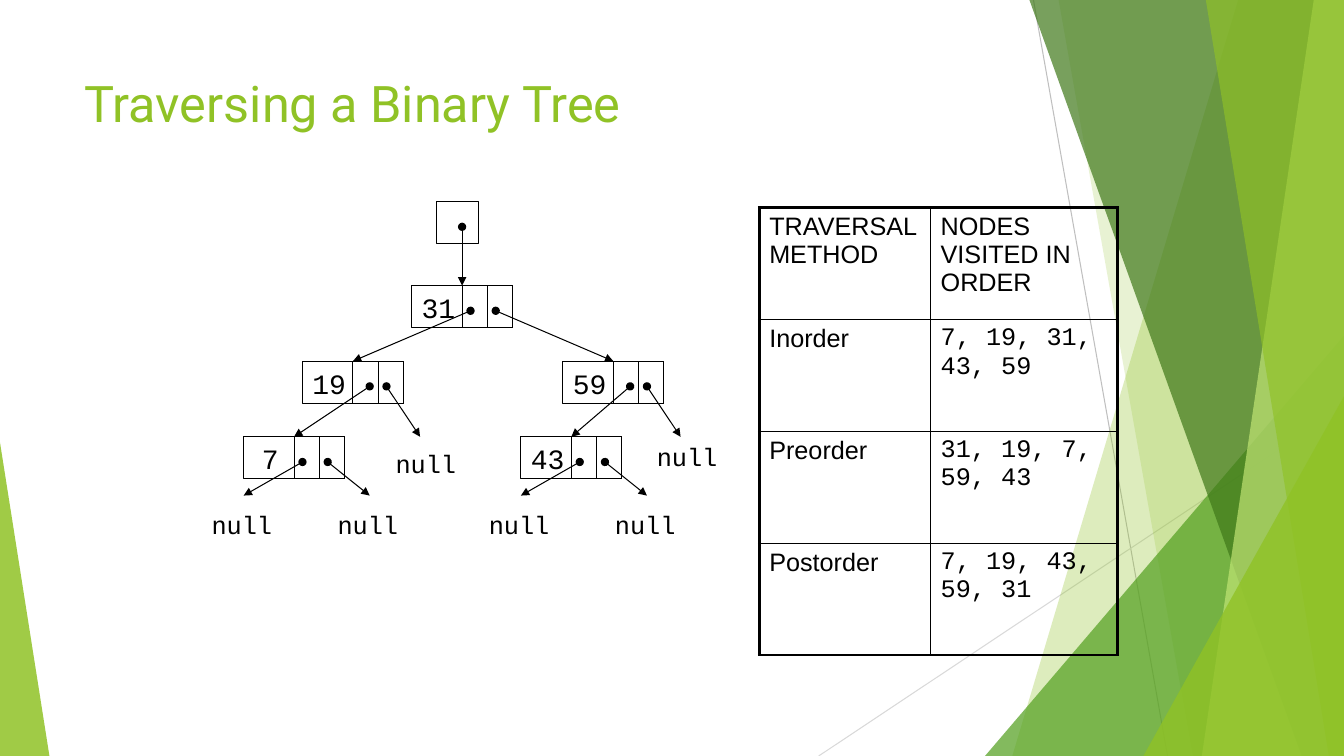
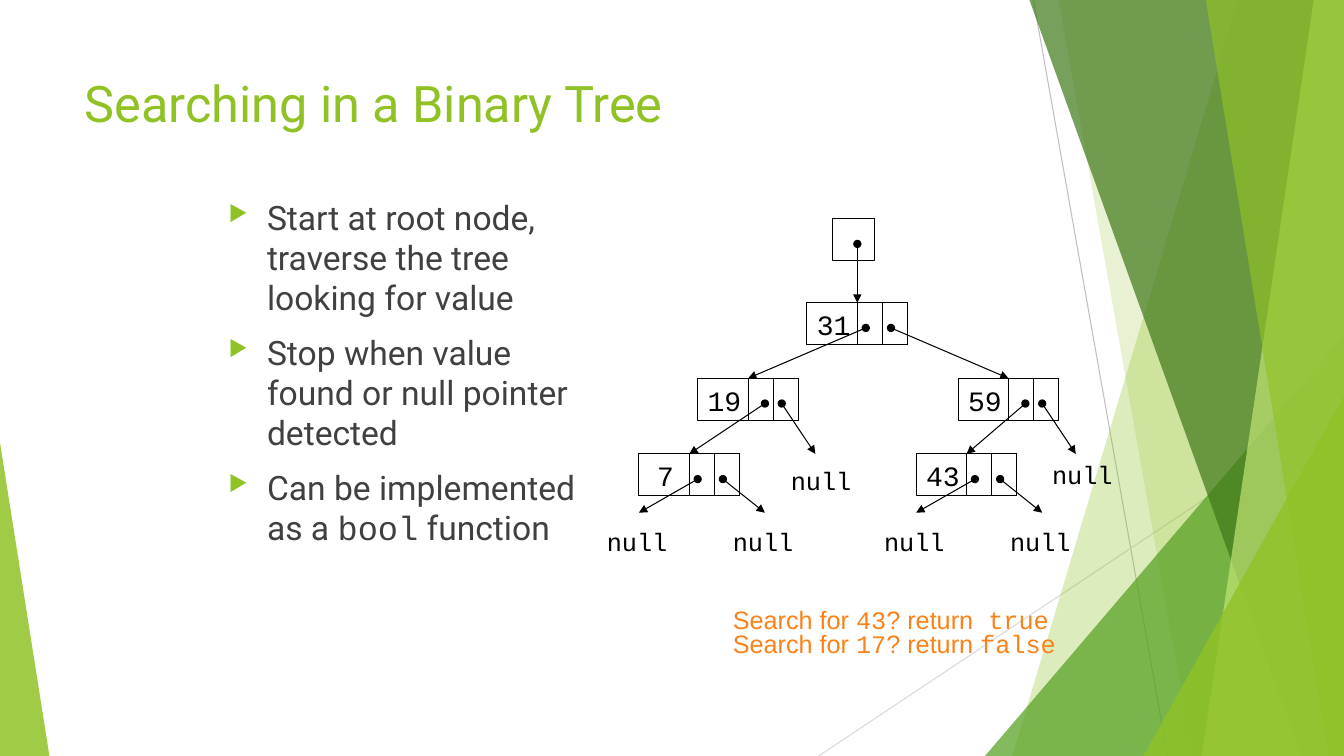
from dataclasses import dataclass

from lxml.etree import SubElement
from pptx import Presentation
from pptx.dml.color import RGBColor
from pptx.enum.shapes import MSO_CONNECTOR, MSO_SHAPE as SHAPE
from pptx.oxml.ns import qn
from pptx.util import Inches, Pt


@dataclass(frozen=True)
class Theme:
    green: str = "90C226"
    mid_green: str = "54A021"
    dark_green: str = "3F7819"
    light_green: str = "C0E474"
    gray: str = "BFBFBF"
    light_gray: str = "D9D9D9"
    ink: str = "000000"
    body_ink: str = "404040"
    orange: str = "FA8218"
    sans: str = "Roboto"
    plain: str = "Arial"
    code: str = "Courier New"
    title_size: int = 36
    body_size: int = 24
    value_size: int = 20
    label_size: int = 18
    thin: float = 0.75
    inner: float = 1
    outer: float = 2.25


theme = Theme()
WIDTH, HEIGHT = 13.33, 7.5
UNIT = 1 / 12  # tree grid step in inches


def write(frame, paragraphs, size, color):
    """Fill a text frame; each paragraph is a list of (text, font) runs."""
    for number, runs in enumerate(paragraphs):
        paragraph = frame.add_paragraph() if number else frame.paragraphs[0]
        for text, font in runs:
            run = paragraph.add_run()
            run.text = text
            run.font.name = font
            run.font.size = Pt(size)
            run.font.color.rgb = RGBColor.from_string(color)


def draw_line(slide, start, end, color, pointer=False):
    line = slide.shapes.add_connector(
        MSO_CONNECTOR.STRAIGHT, *[Inches(v) for v in (*start, *end)])
    line.line.width = Pt(theme.thin)
    line.line.color.rgb = RGBColor.from_string(color)
    if pointer:
        outline = line._element.spPr.find(qn("a:ln"))
        SubElement(outline, qn("a:headEnd"), type="oval")
        SubElement(outline, qn("a:tailEnd"), type="triangle")
    SubElement(line._element.spPr, qn("a:effectLst"))


# Backdrop: bands are (top x, bottom x), triangles are (left, top, width, apex)
backdrop_lines = [((10.25, 0), (11.58, HEIGHT), theme.gray),
                  ((WIDTH, 4.03), (8.12, HEIGHT), theme.light_gray)]
backdrop_facets = [
    ((12.28, 10.04), theme.green, 30),
    ((10.5, 11.83), theme.green, 20),
    ((9.77, 3.33, 3.56, 1), theme.mid_green, 72),
    ((10.21, 12.91), theme.dark_green, 70),
    ((13.03, 11.92), theme.light_green, 70),
    ((11.96, 13.18), theme.green, 65),
    ((11.34, 3.93, 1.99, 1), theme.green, 80),
    ((0, 4.39, 0.49, 0), theme.green, 85),
]

# Tree in grid units: value, column, row, text indent, left start, left tip, right tip
nodes = [
    ("31", 25, 10, 0, 7, (-7, 9), (24, 9)),
    ("59", 43, 19, 0, 8, (1, 9), (14, 9)),
    ("19", 12, 19, 0, 8, (-1, 9), (14, 9)),
    ("7", 5, 28, 1, 7, (0, 7), (15, 7)),
    ("43", 38, 28, 0, 7, (0, 7), (15, 7)),
]
ROOT_COLUMN, BOX, VALUE_CELL, POINTER_CELL = 28, 5, 6, 3
null_spots = [(21.9, 28.8), (53, 28), (0, 36), (15, 36), (33, 36), (48, 36)]

labels = [("null", column, row, 0.82, 0.4, theme.label_size) for column, row in null_spots]
labels += [(value, column + indent, row, 0.56, 0.43, theme.value_size)
           for value, column, row, indent, *_ in nodes]

boxes = [(ROOT_COLUMN, 0, BOX)]
pointers = [((31, 3), (31, 10))]
for value, column, row, indent, left_start, left_tip, right_tip in nodes:
    boxes += [(column, row, VALUE_CELL + 2 * POINTER_CELL),
              (column + VALUE_CELL + POINTER_CELL, row, POINTER_CELL),
              (column + VALUE_CELL, row, POINTER_CELL)]
    pointers += [((column + start, row + 3), (column + tip[0], row + tip[1]))
                 for start, tip in ((left_start, left_tip), (10, right_tip))]

deck = Presentation()
deck.slide_width, deck.slide_height = Inches(WIDTH), Inches(HEIGHT)

# Both slides: backdrop, title and tree
slides = []
for title, tree_left, tree_top in [("Traversing a Binary Tree", 2, 2),
                                   ("Searching in a Binary Tree", 5.92, 2.17)]:
    slide = deck.slides.add_slide(deck.slide_layouts[6])
    slides.append(slide)

    for start, end, color in backdrop_lines:
        draw_line(slide, start, end, color)
    for outline, color, opacity in backdrop_facets:
        if len(outline) == 2:
            top_x, bottom_x = outline
            builder = slide.shapes.build_freeform(Inches(top_x), 0)
            builder.add_line_segments(
                [(Inches(x), Inches(y)) for x, y in
                 ((WIDTH, 0), (WIDTH, HEIGHT), (bottom_x, HEIGHT))], close=True)
            facet = builder.convert_to_shape()
        else:
            left, top, width, apex = outline
            facet = slide.shapes.add_shape(
                SHAPE.ISOSCELES_TRIANGLE,
                *[Inches(v) for v in (left, top, width, HEIGHT - top)])
            facet.adjustments[0] = apex
        facet.shadow.inherit = False
        facet.line.fill.background()
        facet.fill.solid()
        facet.fill.fore_color.rgb = RGBColor.from_string(color)
        tint = facet._element.spPr.find(f"{qn('a:solidFill')}/{qn('a:srgbClr')}")
        SubElement(tint, qn("a:alpha"), val=str(opacity * 1000))

    heading = slide.shapes.add_textbox(*[Inches(v) for v in (0.74, 0.67, 9.4, 1.44)])
    heading.text_frame.word_wrap = True
    write(heading.text_frame, [[(title, theme.sans)]], theme.title_size, theme.green)

    for column, row, columns in boxes:
        cell_box = slide.shapes.add_shape(
            SHAPE.RECTANGLE, Inches(tree_left + column * UNIT),
            Inches(tree_top + row * UNIT), Inches(columns * UNIT), Inches(BOX * UNIT))
        cell_box.shadow.inherit = False
        cell_box.fill.background()
        cell_box.line.width = Pt(theme.thin)
        cell_box.line.color.rgb = RGBColor.from_string(theme.ink)
    for pointer in pointers:
        start, end = [(tree_left + x * UNIT, tree_top + y * UNIT) for x, y in pointer]
        draw_line(slide, start, end, theme.ink, pointer=True)
    for text, column, row, width, height, size in labels:
        label = slide.shapes.add_textbox(
            Inches(tree_left + column * UNIT), Inches(tree_top + row * UNIT),
            Inches(width), Inches(height))
        label.text_frame.word_wrap = False
        write(label.text_frame, [[(text, theme.code)]], size, theme.ink)

traversing, searching = slides

# Traversal table
traversals = [("TRAVERSAL METHOD", "NODES VISITED IN ORDER"),
              ("Inorder", "7, 19, 31, 43, 59"),
              ("Preorder", "31, 19, 7, 59, 43"),
              ("Postorder", "7, 19, 43, 59, 31")]
column_widths, row_height = (1.7, 1.85), 1.11
last_row, last_column = len(traversals) - 1, len(column_widths) - 1
table = traversing.shapes.add_table(
    len(traversals), len(column_widths), Inches(7.53), Inches(2.06),
    Inches(sum(column_widths)), Inches(row_height * len(traversals))).table
table.first_row = table.horz_banding = False
for column, width in enumerate(column_widths):
    table.columns[column].width = Inches(width)
for row, entries in enumerate(traversals):
    table.rows[row].height = Inches(row_height)
    for column, entry in enumerate(entries):
        cell = table.cell(row, column)
        font = theme.code if row and column else theme.plain
        write(cell.text_frame, [[(entry, font)]], theme.label_size, theme.ink)
        properties = cell._tc.get_or_add_tcPr()
        for side, at_edge in (("L", column == 0), ("R", column == last_column),
                              ("T", row == 0), ("B", row == last_row)):
            weight = theme.outer if at_edge else theme.inner
            border = SubElement(properties, qn(f"a:ln{side}"), w=str(Pt(weight)))
            paint = SubElement(border, qn("a:solidFill"))
            SubElement(paint, qn("a:srgbClr"), val=theme.ink)
        cell.fill.background()

# Search steps
steps = searching.shapes.add_textbox(*[Inches(v) for v in (2.17, 1.9, 3.75, 4.05)])
steps.text_frame.word_wrap = True
write(steps.text_frame, [
    [("Start at root node, traverse the tree looking for value", theme.sans)],
    [("Stop when value found or null pointer detected", theme.sans)],
    [("Can be implemented as a ", theme.sans), ("bool", theme.code),
     (" function", theme.sans)],
], theme.body_size, theme.body_ink)
for step in steps.text_frame.paragraphs:
    step.space_before = Pt(10)
    properties = step._p.get_or_add_pPr()
    properties.set("marL", str(Inches(0.38)))
    properties.set("indent", str(-Inches(0.38)))
    bullet_color = SubElement(properties, qn("a:buClr"))
    SubElement(bullet_color, qn("a:srgbClr"), val=theme.green)
    SubElement(properties, qn("a:buSzPct"), val="65000")
    SubElement(properties, qn("a:buChar"), char="▶")

# Search results
results = searching.shapes.add_textbox(*[Inches(v) for v in (7.17, 6, 3.43, 0.6)])
results.text_frame.word_wrap = False
write(results.text_frame, [
    [("Search for ", theme.plain), ("43", theme.code),
     ("? return", theme.plain), (" true", theme.code)],
    [("Search for ", theme.plain), ("17", theme.code),
     ("? return ", theme.plain), ("false", theme.code)],
], theme.label_size, theme.orange)
for result in results.text_frame.paragraphs:
    result.line_spacing = 0.8

deck.save("out.pptx")
